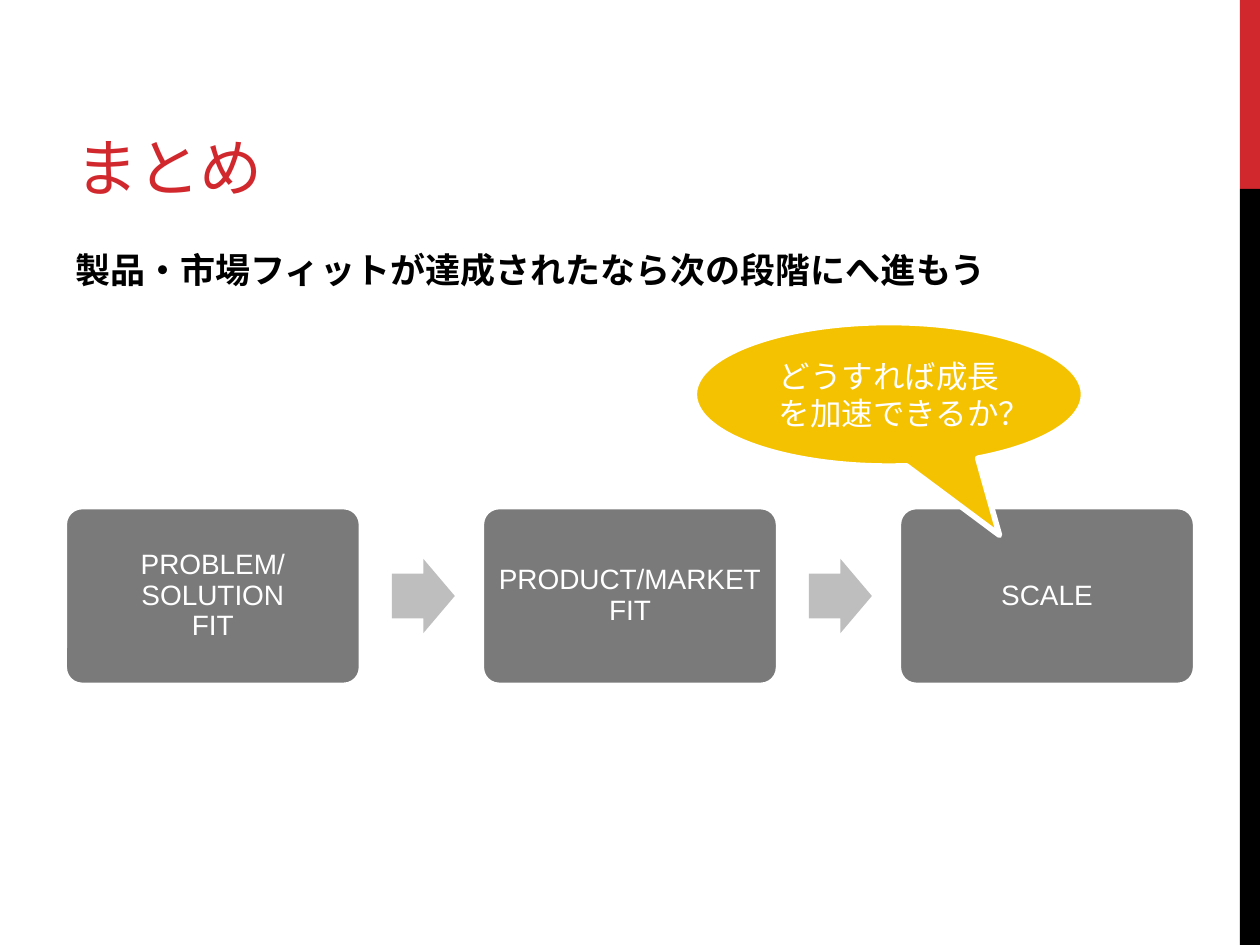
from pptx import Presentation
from pptx import util as u
from pptx.dml.color import RGBColor
from pptx.enum import shapes, text
from pptx.util import Inches

RED, BLACK, WHITE = "D1282E", "000000", "FFFFFF"
GREY, LIGHT_GREY, YELLOW = "7A7A7A", "BEBEBE", "F5C201"
SHAPE = shapes.MSO_SHAPE


def color(value):
    return RGBColor.from_string(value)


def write(holder, words, size=16, font="Arial", fill=WHITE, bold=False,
          align=text.PP_ALIGN.LEFT, anchor=text.MSO_ANCHOR.TOP,
          inset=None, line_spacing=None, before=0, tracking=None):
    frame = holder.text_frame
    frame.word_wrap = True
    frame.vertical_anchor = anchor
    if inset is not None:
        frame.margin_left = frame.margin_right = Inches(inset)
        frame.margin_top = frame.margin_bottom = Inches(inset)
    para = frame.paragraphs[0]
    para.alignment = align
    para.space_before = u.Pt(before)
    if line_spacing:
        para.line_spacing = line_spacing
    for index, line in enumerate(words.split("\n")):
        if index:
            para.add_line_break()
        span = para.add_run()
        span.text = line
        span.font.size = u.Pt(size)
        span.font.name = font
        span.font.bold = bold
        span.font.color.rgb = color(fill)
        if tracking:
            span.font._element.set("spc", str(tracking))


def add_shape(page, kind, box, fill, outline=None, adjustments=()):
    shape = page.shapes.add_shape(kind, *map(Inches, box))
    shape.shadow.inherit = False
    shape.fill.solid()
    shape.fill.fore_color.rgb = color(fill)
    if outline:
        shape.line.color.rgb = color(outline)
        shape.line.width = u.Pt(3.25)
    else:
        shape.line.fill.background()
    for index, value in enumerate(adjustments):
        shape.adjustments[index] = value
    return shape


def add_text(page, box, words, **style):
    write(page.shapes.add_textbox(*map(Inches, box)), words, **style)


def side_band(page, box):
    left, top, width, height = box
    split = 1.5
    add_shape(page, SHAPE.RECTANGLE, (left, top, width, split), RED)
    add_shape(page, SHAPE.RECTANGLE,
              (left, top + split, width, height - split), BLACK)


def process(page, box, steps):
    left, top, width, height = box
    step_width, arrow_width, arrow_height = 2.36, 0.5, 0.59
    pitch = (width - step_width) / (len(steps) - 1)
    for index, words in enumerate(steps):
        x = left + index * pitch
        step = add_shape(page, SHAPE.ROUNDED_RECTANGLE,
                         (x, top, step_width, height), GREY, WHITE, (0.1,))
        write(step, words, align=text.PP_ALIGN.CENTER,
              anchor=text.MSO_ANCHOR.MIDDLE, inset=0.07, line_spacing=0.9)
        if index < len(steps) - 1:
            # Arrow to the next step
            add_shape(page, SHAPE.RIGHT_ARROW,
                      (x + step_width + 0.24, top + (height - arrow_height) / 2,
                       arrow_width, arrow_height),
                      LIGHT_GREY, adjustments=(0.6, 0.5))


def callout(page, box, words):
    bubble = add_shape(page, SHAPE.OVAL_CALLOUT, box, YELLOW, WHITE,
                       (0.284, 0.981))
    write(bubble, words, size=18, align=text.PP_ALIGN.CENTER,
          anchor=text.MSO_ANCHOR.MIDDLE)


def main():
    deck = Presentation()
    deck.slide_width, deck.slide_height = Inches(10), Inches(7.5)
    page = deck.slides.add_slide(deck.slide_layouts[6])

    side_band(page, (9.84, 0, 0.16, 7.5))
    # Title and message
    add_text(page, (0.5, 0.17, 6.33, 1.5), "まとめ", size=36,
             font="Montserrat", fill=RED, anchor=text.MSO_ANCHOR.BOTTOM,
             tracking=-60)
    add_text(page, (0.5, 1.92, 8.33, 4.78),
             "製品・市場フィットが達成されたなら次の段階にへ進もう",
             size=20, fill=BLACK, bold=True, before=4)
    # Stages with the question on the last one
    process(page, (0.51, 4.02, 8.98, 1.42),
            ["PROBLEM/SOLUTION\nFIT", "PRODUCT/MARKET\nFIT", "SCALE"])
    callout(page, (5.51, 2.56, 3.09, 1.14), "どうすれば成長を加速できるか？")
    deck.save("out.pptx")


if __name__ == "__main__":
    main()
